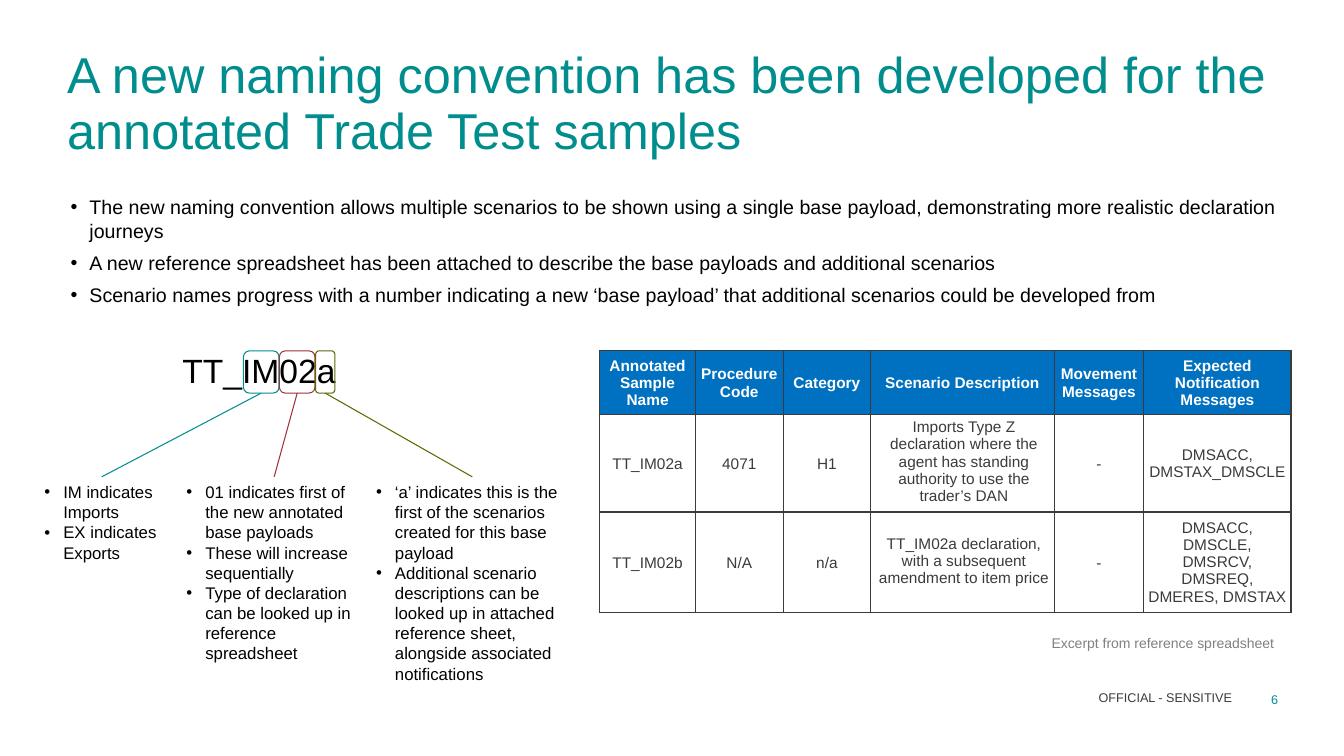
from lxml import etree
from pptx import Presentation
from pptx.dml.color import RGBColor
from pptx.enum.shapes import MSO_CONNECTOR, MSO_SHAPE
from pptx.enum.text import MSO_ANCHOR, MSO_AUTO_SIZE, PP_ALIGN
from pptx.oxml.ns import qn
from pptx.util import Pt

LEFT, RIGHT, CENTER = PP_ALIGN.LEFT, PP_ALIGN.RIGHT, PP_ALIGN.CENTER
TOP, MIDDLE = MSO_ANCHOR.TOP, MSO_ANCHOR.MIDDLE
BOX, LINE = MSO_SHAPE.ROUNDED_RECTANGLE, MSO_CONNECTOR.STRAIGHT
NO_FIT = MSO_AUTO_SIZE.NONE
TITLE_ONLY = 5

FONT = "Arial"
COLORS = {
    "teal": "008D8E", "red": "9E3039", "olive": "576B00", "blue": "0070C0",
    "dark": "3B3A3D", "gray": "808080", "black": "000000", "white": "FFFFFF",
}

TITLE = "A new naming convention has been developed for the annotated Trade Test samples"
POINTS = [
    "The new naming convention allows multiple scenarios to be shown using a single "
    "base payload, demonstrating more realistic declaration journeys",
    "A new reference spreadsheet has been attached to describe the base payloads "
    "and additional scenarios",
    "Scenario names progress with a number indicating a new ‘base payload’ that "
    "additional scenarios could be developed from",
]
SAMPLE = "TT_IM02a"
# color, box left and width, note left, width and height, note lines
PARTS = [
    ("teal", 173.9, 25.4, 31.7, 82, 65.5,
     ["IM indicates Imports", "EX indicates Exports"]),
    ("red", 199.6, 25.4, 133.2, 125.3, 138,
     ["01 indicates first of the new annotated base payloads",
      "These will increase sequentially",
      "Type of declaration can be looked up in reference spreadsheet"]),
    ("olive", 225.5, 13.7, 268.6, 137.5, 152.5,
     ["‘a’ indicates this is the first of the scenarios created for this base payload",
      "Additional scenario descriptions can be looked up in attached reference sheet, "
      "alongside associated notifications"]),
]
ROWS = [
    ["Annotated Sample Name", "Procedure Code", "Category", "Scenario Description",
     "Movement Messages", "Expected Notification Messages"],
    ["TT_IM02a", "4071", "H1",
     "Imports Type Z declaration where the agent has standing authority to use the "
     "trader’s DAN", "-", "DMSACC, DMSTAX_DMSCLE"],
    ["TT_IM02b", "N/A", "n/a",
     "TT_IM02a declaration, with a subsequent amendment to item price", "-",
     "DMSACC, DMSCLE, DMSRCV, DMSREQ, DMERES, DMSTAX"],
]
WIDTHS = [68.4, 62.6, 62.6, 131, 64.1, 105.1]
HEIGHTS = [45.5, 69.5, 71.5]
# cell insets: left, right, top, bottom
TIGHT = (0.7, 0.7, 0.7, 0)
INSETS = {3: (2.9, 0.7, 0.7, 2.9), 5: (2.9, 2.9, 2.9, 2.9)}
CAPTION, MARK, PAGE = "Excerpt from reference spreadsheet", "OFFICIAL - SENSITIVE", "6"

BOX_TOP, BOX_HIGH, NOTE_TOP = 250.6, 30.2, 340.6
INDENT, LEADING = 13.5, 1.2


def color(name):
    return RGBColor.from_string(COLORS[name])


def write(para, text, size, ink, align=LEFT, bold=False):
    para.alignment = align
    run = para.add_run()
    run.text = text
    font = run.font
    font.name, font.size, font.bold = FONT, Pt(size), bold
    font.color.rgb = color(ink)


def add_frame(slide, left, top, width, height, anchor=TOP, wrap=True):
    """Add a text box without insets; return the shape and its text frame."""
    shape = slide.shapes.add_textbox(Pt(left), Pt(top), Pt(width), Pt(height))
    frame = shape.text_frame
    frame.margin_left = frame.margin_right = 0
    frame.margin_top = frame.margin_bottom = 0
    frame.word_wrap, frame.vertical_anchor = wrap, anchor
    return shape, frame


def add_label(slide, place, text, size, ink, align=LEFT, anchor=TOP):
    frame = add_frame(slide, *place, anchor, False)[1]
    write(frame.paragraphs[0], text, size, ink, align)


def add_list(slide, place, lines, size, after=0):
    shape, frame = add_frame(slide, *place)
    frame.margin_top = frame.margin_bottom = Pt(3.6)
    for i, line in enumerate(lines):
        para = frame.add_paragraph() if i else frame.paragraphs[0]
        write(para, line, size, "black")
        para.line_spacing = Pt(size * LEADING)
        para.space_after = Pt(after)
        props = para._p.get_or_add_pPr()
        props.set("marL", str(Pt(INDENT)))
        props.set("indent", str(-Pt(INDENT)))
        etree.SubElement(props, qn("a:buFont"), typeface=FONT)
        etree.SubElement(props, qn("a:buChar"), char="•")
    return shape


def add_part(slide, ink, left, width, note_left, note_width, note_high, lines):
    """Frame one part of the sample name and link it to its note."""
    box = slide.shapes.add_shape(BOX, Pt(left), Pt(BOX_TOP), Pt(width), Pt(BOX_HIGH))
    box.shadow.inherit = False
    box.fill.background()
    note = add_list(slide, (note_left, NOTE_TOP, note_width, note_high), lines, 12)
    link = slide.shapes.add_connector(LINE, 0, 0, 0, 0)
    link.begin_connect(box, 2)
    link.end_connect(note, 0)
    etree.SubElement(link._element.spPr, qn("a:effectLst"))
    for item in (box, link):
        item.line.color.rgb = color(ink)
        item.line.width = Pt(0.75)


def add_borders(cell):
    props = cell._tc.get_or_add_tcPr()
    for side in ("lnL", "lnR", "lnT", "lnB"):
        edge = etree.SubElement(props, qn("a:" + side), w=str(Pt(1)))
        fill = etree.SubElement(edge, qn("a:solidFill"))
        etree.SubElement(fill, qn("a:srgbClr"), val=COLORS["dark"])


def add_samples(slide):
    table = slide.shapes.add_table(
        len(ROWS), len(WIDTHS), Pt(428.4), Pt(BOX_TOP),
        Pt(sum(WIDTHS)), Pt(sum(HEIGHTS))).table
    for col, width in zip(table.columns, WIDTHS):
        col.width = Pt(width)
    for r, (texts, height) in enumerate(zip(ROWS, HEIGHTS)):
        table.rows[r].height = Pt(height)
        head = r == 0
        for c, text in enumerate(texts):
            cell = table.cell(r, c)
            inset = TIGHT if head else INSETS.get(c, TIGHT)
            cell.margin_left, cell.margin_right, cell.margin_top, cell.margin_bottom = map(Pt, inset)
            cell.vertical_anchor = MIDDLE
            add_borders(cell)
            if head:
                cell.fill.solid()
                cell.fill.fore_color.rgb = color("blue")
            else:
                cell.fill.background()
            write(cell.text_frame.paragraphs[0], text, 11,
                  "white" if head else "dark", CENTER, head)


def set_title(slide):
    title = slide.shapes.title
    title.left, title.top, title.width, title.height = Pt(48), Pt(34), Pt(864), Pt(65.5)
    frame = title.text_frame
    frame.margin_left = frame.margin_right = 0
    frame.margin_top = frame.margin_bottom = 0
    frame.vertical_anchor, frame.auto_size, frame.word_wrap = TOP, NO_FIT, True
    para = frame.paragraphs[0]
    write(para, TITLE, 36, "teal")
    para.line_spacing, para.space_after = Pt(40), Pt(6)


def main():
    deck = Presentation()
    deck.slide_width, deck.slide_height = Pt(960), Pt(540)
    slide = deck.slides.add_slide(deck.slide_layouts[TITLE_ONLY])
    set_title(slide)
    add_list(slide, (50.4, 136, 864.7, 100), POINTS, 14, 6)
    add_label(slide, (130.3, 249.8, 112, 28.8), SAMPLE, 24, "black")
    for part in PARTS:
        add_part(slide, *part)
    add_samples(slide)
    add_label(slide, (730, 453, 180, 12), CAPTION, 10, "gray", RIGHT)
    add_label(slide, (680, 490.3, 200, 15.8), MARK, 9, "dark", RIGHT, MIDDLE)
    add_label(slide, (888.5, 494, 24.5, 10.8), PAGE, 9, "teal", RIGHT)
    deck.save("out.pptx")


if __name__ == "__main__":
    main()
